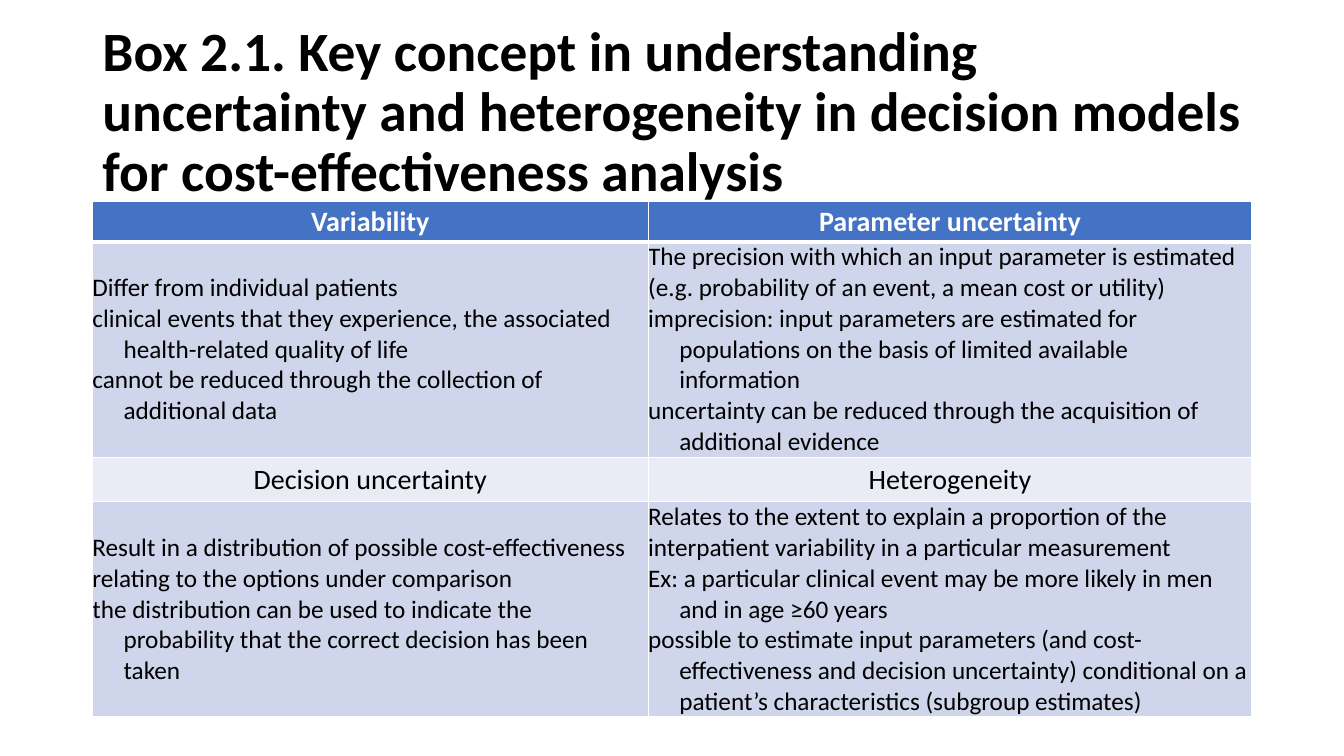
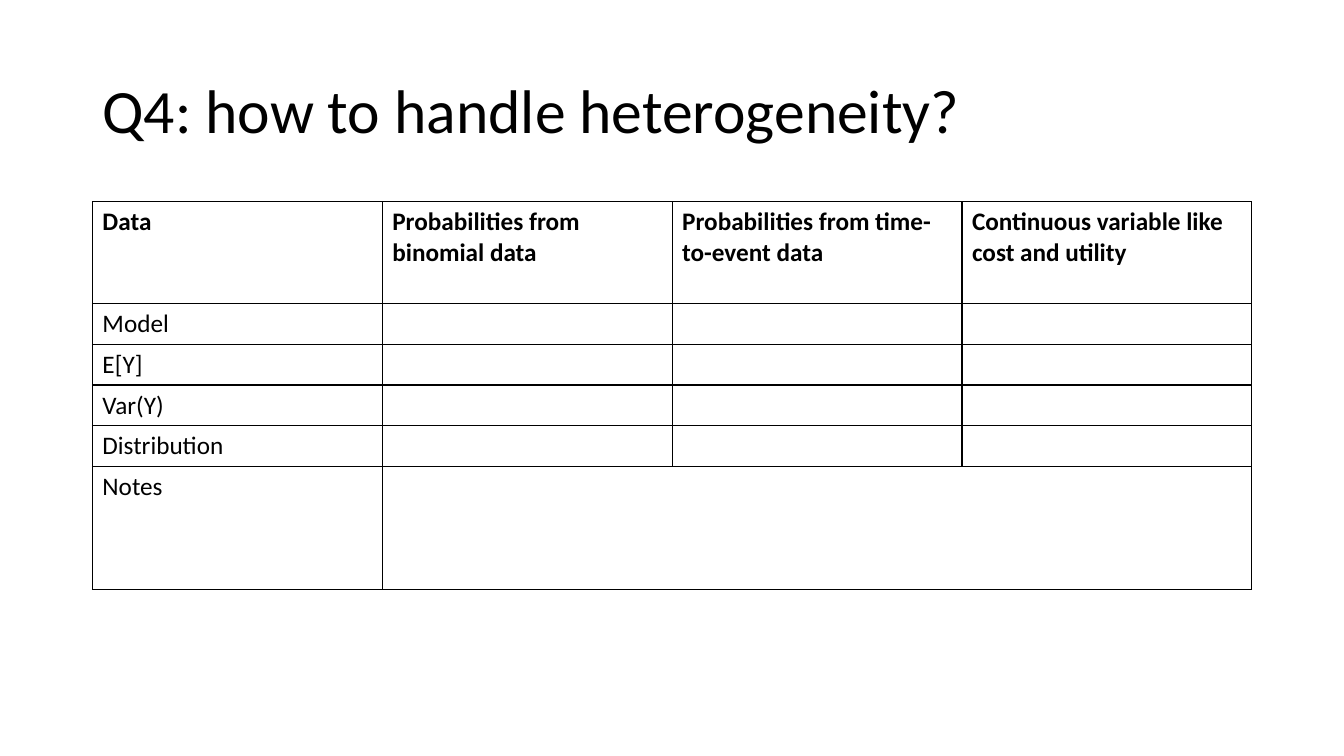
"""Two slides on uncertainty and heterogeneity in decision models, each a title over a table."""
import pptx
import pptx.dml.color
import pptx.enum.text
import pptx.oxml
import pptx.oxml.ns
import pptx.util

FONT = "Calibri"
BLACK, WHITE = "000000", "FFFFFF"
HEADING_BLUE, BODY_BLUE, SUBHEADING_BLUE = "4472C4", "CFD5EA", "E9EBF5"
LEFT, WIDTH = 11, 138
TITLE_TOP, TITLE_HEIGHT, TABLE_TOP = 4.8, 17.4, 24
HANGING = pptx.util.Inches(0.31)
ALIGN = pptx.enum.text.PP_ALIGN
MIDDLE = pptx.enum.text.MSO_ANCHOR.MIDDLE

deck = pptx.Presentation()
deck.slide_width = pptx.util.Inches(13.33)
deck.slide_height = pptx.util.Inches(7.5)
UNIT = deck.slide_height / 90


def format_text(paragraph, size, color=BLACK, bold=False):
    for run in paragraph.runs:
        run.font.name = FONT
        run.font.size = pptx.util.Pt(size)
        run.font.bold = bold
        run.font.color.rgb = pptx.dml.color.RGBColor.from_string(color)


def set_borders(cell, color, left=1, right=1, top=1, bottom=1):
    properties = cell._tc.get_or_add_tcPr()
    sides = {"L": left, "R": right, "T": top, "B": bottom}
    for position, (side, points) in enumerate(sides.items()):
        paint = f'<a:solidFill><a:srgbClr val="{color}"/></a:solidFill>' if points else "<a:noFill/>"
        properties.insert(position, pptx.oxml.parse_xml(
            f'<a:ln{side} {pptx.oxml.ns.nsdecls("a")} w="{pptx.util.Pt(points)}">'
            f'{paint}</a:ln{side}>'))


pages = [
    ("Box 2.1. Key concept in understanding uncertainty and heterogeneity "
     "in decision models for cost-effectiveness analysis",
     39.6, True, [66.15, 71.85], [4.8, 25.15, 5.3, 25.4]),
    ("Q4: how to handle heterogeneity?",
     44, False, [WIDTH / 4] * 4, [12.1] + [4.87] * 7),
]
tables = []
for heading, size, bold, columns, rows in pages:
    slide = deck.slides.add_slide(deck.slide_layouts[5])
    title = slide.shapes.title
    title.left, title.width = int(LEFT * UNIT), int(WIDTH * UNIT)
    title.top, title.height = int(TITLE_TOP * UNIT), int(TITLE_HEIGHT * UNIT)
    title.text_frame.text = heading
    title.text_frame.auto_size = pptx.enum.text.MSO_AUTO_SIZE.NONE
    title.text_frame.vertical_anchor = MIDDLE
    heading_line = title.text_frame.paragraphs[0]
    heading_line.alignment = ALIGN.LEFT
    heading_line.line_spacing = 0.9
    format_text(heading_line, size, bold=bold)

    table = slide.shapes.add_table(
        len(rows), len(columns), int(LEFT * UNIT), int(TABLE_TOP * UNIT),
        int(WIDTH * UNIT), int(sum(rows) * UNIT)).table
    table.horz_banding = False
    for column, width in zip(table.columns, columns):
        column.width = int(width * UNIT)
    for row, height in zip(table.rows, rows):
        row.height = int(height * UNIT)
    tables.append(table)

concepts, handling = tables

concept_rows = [
    (["Variability"], ["Parameter uncertainty"]),
    (["Differ from individual patients",
      "clinical events that they experience, the associated health-related quality of life",
      "cannot be reduced through the collection of additional data"],
     ["The precision with which an input parameter is estimated "
      "(e.g. probability of an event, a mean cost or utility)",
      "imprecision: input parameters are estimated for populations "
      "on the basis of limited available information",
      "uncertainty can be reduced through the acquisition of additional evidence"]),
    (["Decision uncertainty"], ["Heterogeneity"]),
    (["Result in a distribution of possible cost-effectiveness "
      "relating to the options under comparison",
      "the distribution can be used to indicate the probability "
      "that the correct decision has been taken"],
     ["Relates to the extent to explain a proportion of the "
      "interpatient variability in a particular measurement",
      "Ex: a particular clinical event may be more likely in men and in age ≥60 years",
      "possible to estimate input parameters (and cost-effectiveness and decision "
      "uncertainty) conditional on a patient’s characteristics (subgroup estimates)"]),
]
row_fills = [HEADING_BLUE, BODY_BLUE, SUBHEADING_BLUE, BODY_BLUE]
for r, (texts, fill) in enumerate(zip(concept_rows, row_fills)):
    is_heading = r % 2 == 0
    for c, lines in enumerate(texts):
        cell = concepts.cell(r, c)
        cell.margin_left = cell.margin_right = cell.margin_top = cell.margin_bottom = 0
        cell.vertical_anchor = MIDDLE
        cell.fill.solid()
        cell.fill.fore_color.rgb = pptx.dml.color.RGBColor.from_string(fill)
        set_borders(cell, WHITE, top=3 if r == 1 else 1, bottom=3 if r == 0 else 1)
        cell.text_frame.text = "\n".join(lines)
        for i, paragraph in enumerate(cell.text_frame.paragraphs):
            paragraph.alignment = ALIGN.CENTER if is_heading else ALIGN.LEFT
            if i > 0:
                indent = paragraph._p.get_or_add_pPr()
                indent.set("marL", str(HANGING))
                indent.set("indent", str(-HANGING))
            format_text(paragraph, 20 if is_heading else 18,
                        WHITE if r == 0 else BLACK, bold=r == 0)

data_kinds = ["Data", "Probabilities from binomial data",
              "Probabilities from time-to-event data",
              "Continuous variable like cost and utility"]
row_labels = ["Model", "E[Y]", "Var(Y)", "Distribution", "Notes"]
labels = {(0, c): kind for c, kind in enumerate(data_kinds)}
labels.update({(r, 0): label for r, label in enumerate(row_labels, 1)})
notes_row, last_row, last_column = len(row_labels), len(handling.rows) - 1, len(data_kinds) - 1
for r in range(last_row + 1):
    for c in range(last_column + 1):
        cell = handling.cell(r, c)
        cell.fill.background()
        above_notes = r < notes_row
        set_borders(cell, BLACK,
                    left=int(above_notes or c <= 1),
                    right=int(above_notes or c in (0, last_column)),
                    top=int(r <= notes_row),
                    bottom=int(above_notes or r == last_row))
        if (r, c) in labels:
            cell.text_frame.text = labels[r, c]
            format_text(cell.text_frame.paragraphs[0], 18, bold=r == 0)

deck.save("out.pptx")
